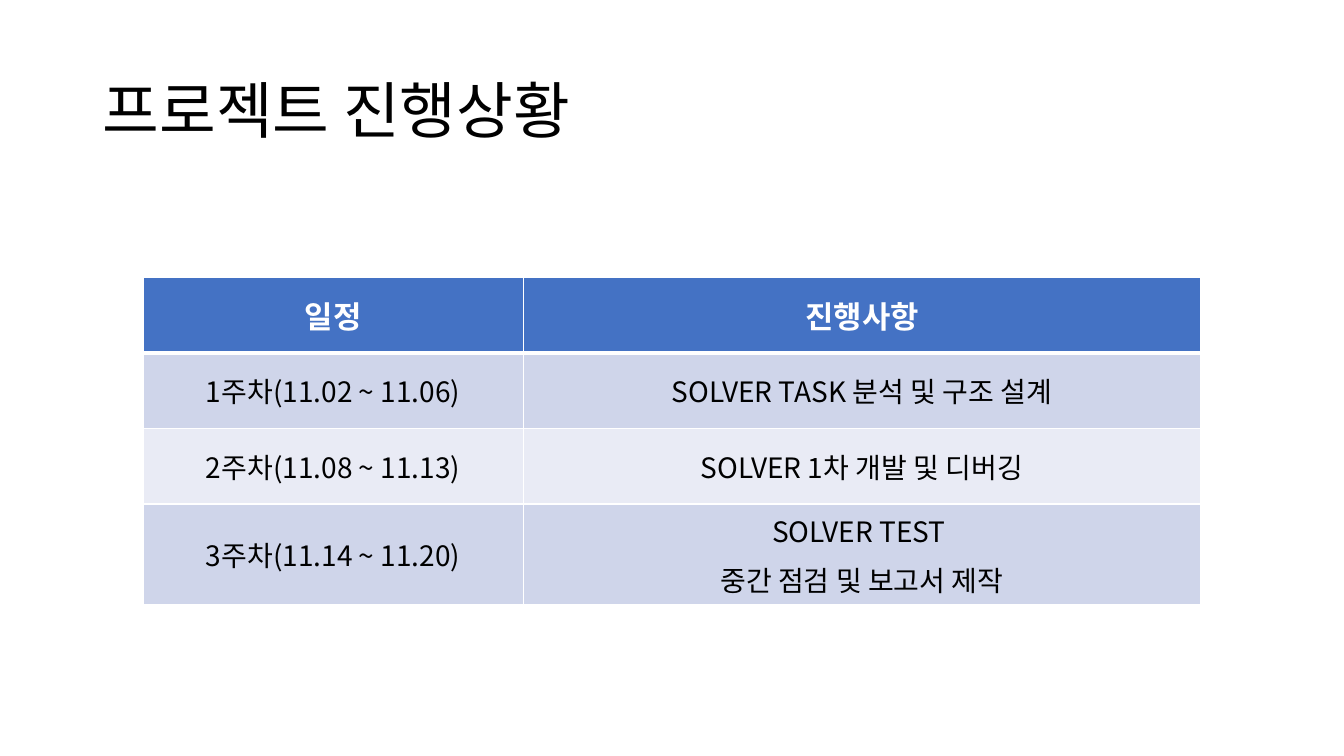
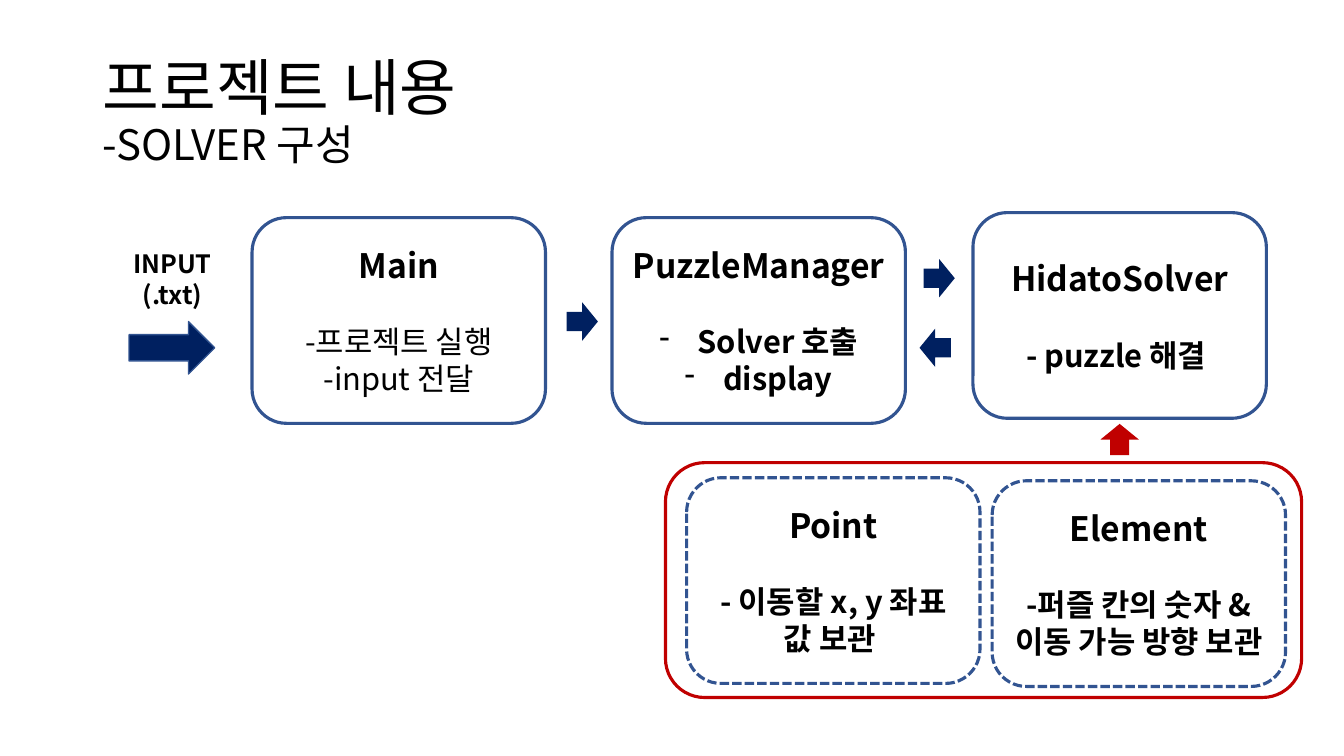
from pptx import Presentation
from pptx.dml.color import RGBColor
from pptx.enum.dml import MSO_LINE
from pptx.enum.shapes import MSO_SHAPE
from pptx.enum.text import MSO_ANCHOR, PP_ALIGN
from pptx.oxml.ns import qn
from pptx.util import Inches, Pt
from lxml.etree import SubElement

FONT = "Noto Sans CJK KR"
BLACK = RGBColor(0, 0, 0)
WHITE = RGBColor(255, 255, 255)
HEAD = RGBColor(0x44, 0x72, 0xC4)
BANDS = [RGBColor(0xCF, 0xD5, 0xEA), RGBColor(0xE9, 0xEB, 0xF5)]
BLUE = RGBColor(0x32, 0x54, 0x91)
NAVY = RGBColor(0, 0x20, 0x60)
RED = RGBColor(0xC0, 0, 0)

PLAN = [
    ("일정", ["진행사항"]),
    ("1주차(11.02 ~ 11.06)", ["SOLVER TASK 분석 및 구조 설계"]),
    ("2주차(11.08 ~ 11.13)", ["SOLVER 1차 개발 및 디버깅"]),
    ("3주차(11.14 ~ 11.20)", ["SOLVER TEST ", "중간 점검 및 보고서 제작"]),
]
COLS = [3.77, 6.72]
ROWS = [0.75, 0.75, 0.75, 1]

BOX = (2.91, 2.04)
BOXES = [
    ("Main", ["-프로젝트 실행", "-input 전달"], 2.5, 2.16, {"bold": False}, False),
    ("Point", ["- 이동할 x, y 좌표 값 보관 "], 6.81, 4.74, {}, True),
    ("Element", ["-퍼즐 칸의 숫자 &이동 가능 방향 보관"], 9.84, 4.77, {}, True),
    ("HidatoSolver", ["- puzzle 해결 "], 9.65, 2.11, {}, False),
    ("PuzzleManager", ["Solver 호출", "display"], 6.07, 2.16, {"dash": True}, False),
]
SMALL = (0.31, 0.38)
ARROWS = [
    (5.62, 3, 0, NAVY),
    (9.16, 2.57, 0, NAVY),
    (9.12, 3.26, 180, NAVY),
    (10.95, 4.17, 270, RED),
]


def write(para, text, size=22, bold=True, color=BLACK, align=PP_ALIGN.CENTER,
          gap=0, lead=None, dash=False):
    para.alignment = align
    para.space_before = Pt(gap)
    if lead:
        para.line_spacing = lead
    run = para.add_run()
    run.text = text
    font = run.font
    font.size, font.bold, font.name = Pt(size), bold, FONT
    font.color.rgb = color
    SubElement(font._element, qn("a:ea")).set("typeface", FONT)
    if dash:
        prop = para._p.get_or_add_pPr()
        prop.set("marL", str(Inches(0.38)))
        prop.set("indent", str(-Inches(0.38)))
        SubElement(prop, qn("a:buFontTx"))
        SubElement(prop, qn("a:buChar")).set("char", "-")


def area(slide, x, y, w, h):
    frame = slide.shapes.add_textbox(*map(Inches, (x, y, w, h))).text_frame
    frame.word_wrap = True
    return frame


def title(slide, text, sub=None):
    frame = area(slide, 0.92, 0.4, 11.5, 1.45)
    frame.vertical_anchor = MSO_ANCHOR.MIDDLE
    look = {"bold": False, "align": PP_ALIGN.LEFT, "lead": 0.9}
    write(frame.paragraphs[0], text, size=44, **look)
    if sub:
        write(frame.add_paragraph(), sub, size=30, **look)


def shape(slide, kind, x, y, w, h, fill=None, line=None, width=2.25):
    item = slide.shapes.add_shape(kind, *map(Inches, (x, y, w, h)))
    item.shadow.inherit = False
    if fill is None:
        item.fill.background()
    else:
        item.fill.solid()
        item.fill.fore_color.rgb = fill
    if line is None:
        item.line.fill.background()
    else:
        item.line.color.rgb = line
        item.line.width = Pt(width)
    return item


def edge(cell, top, base):
    prop = cell._tc.get_or_add_tcPr()
    sides = [("a:lnL", 1), ("a:lnR", 1), ("a:lnT", top), ("a:lnB", base)]
    for spot, (tag, width) in enumerate(sides):
        line = prop.makeelement(qn(tag), {"w": str(Pt(width))})
        prop.insert(spot, line)
        fill = SubElement(line, qn("a:solidFill"))
        SubElement(fill, qn("a:srgbClr")).set("val", str(WHITE))


def plan(slide):
    size = (sum(COLS), sum(ROWS))
    grid = slide.shapes.add_table(
        len(PLAN), len(COLS), *map(Inches, (1.42, 2.75, *size))).table
    for col, width in zip(grid.columns, COLS):
        col.width = Inches(width)
    for r, (week, tasks) in enumerate(PLAN):
        grid.rows[r].height = Inches(ROWS[r])
        top = r == 0
        for c, lines in enumerate(([week], tasks)):
            cell = grid.cell(r, c)
            cell.vertical_anchor = MSO_ANCHOR.MIDDLE
            cell.fill.solid()
            cell.fill.fore_color.rgb = HEAD if top else BANDS[(r - 1) % 2]
            edge(cell, 3 if r == 1 else 1, 3 if top else 1)
            frame = cell.text_frame
            for n, text in enumerate(lines):
                para = frame.add_paragraph() if n else frame.paragraphs[0]
                write(para, text, size=22 if top else 20, bold=top,
                      color=WHITE if top else BLACK, gap=6 if n else 0)


def flow(slide):
    for name, lines, x, y, look, dashed in BOXES:
        box = shape(slide, MSO_SHAPE.FLOWCHART_ALTERNATE_PROCESS, x, y, *BOX, line=BLUE)
        if dashed:
            box.line.dash_style = MSO_LINE.SQUARE_DOT
        frame = box.text_frame
        frame.word_wrap = True
        frame.vertical_anchor = MSO_ANCHOR.MIDDLE
        write(frame.paragraphs[0], name, size=24, lead=Pt(29))
        for n, text in enumerate(lines):
            write(frame.add_paragraph(), text, gap=0 if n else 27, lead=Pt(26.5), **look)
    shape(slide, MSO_SHAPE.ROUNDED_RECTANGLE, 6.6, 4.59, 6.31, 2.33, line=RED)
    shape(slide, MSO_SHAPE.RIGHT_ARROW, 1.28, 3.19, 0.85, 0.52, NAVY, BLUE, 1)
    label = area(slide, 1.2, 2.41, 1.02, 0.71)
    write(label.paragraphs[0], "INPUT", size=18, lead=Pt(22))
    write(label.add_paragraph(), "(.txt)", size=18, lead=Pt(22))
    for x, y, turn, color in ARROWS:
        shape(slide, MSO_SHAPE.RIGHT_ARROW, x, y, *SMALL, fill=color).rotation = turn


deck = Presentation()
deck.slide_width, deck.slide_height = Inches(13.33), Inches(7.5)
blank = deck.slide_layouts[6]
first = deck.slides.add_slide(blank)
title(first, "프로젝트 진행상황")
plan(first)
second = deck.slides.add_slide(blank)
title(second, "프로젝트 내용", "-SOLVER 구성")
flow(second)
deck.save("out.pptx")
